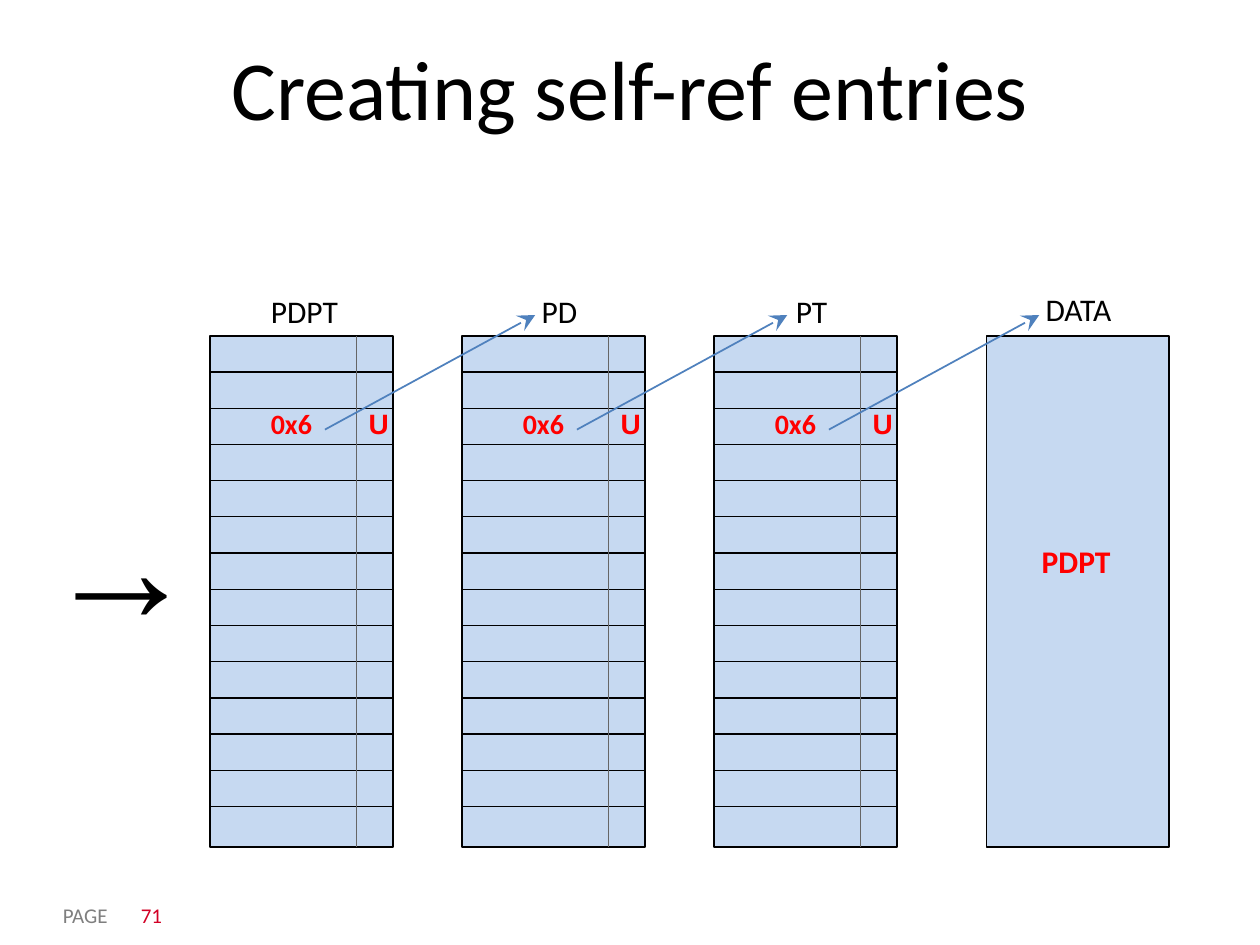
import pptx
import pptx.util
import pptx.dml.color
import pptx.enum.shapes
import pptx.enum.text
import pptx.oxml.ns
import lxml.etree
from pptx.util import Cm, Pt

COLORS = {
    "text": "000000",
    "mark": "FF0000",
    "fill": "C6D9F1",
    "border": "000000",
    "divider": "666666",
    "arrow": "4F81BD",
    "footer": "7F7F7F",
    "number": "D20025",
}

TABLES = [("PDPT", "l"), ("PD", "ctr"), ("PT", "ctr")]
ENTRY = "0x6"
FLAG = "U"

LEFT, PITCH, DATA_LEFT = 4.24, 5.08, 19.89
TOP, WIDTH, HEIGHT = 6.77, 3.68, 10.31
ROWS, ROW_HEIGHT = 13, 0.73
DIVIDER = 2.95
LABEL_W, LABEL_H = 1.98, 1.02

ALIGN = {
    "l": pptx.enum.text.PP_ALIGN.LEFT,
    "ctr": pptx.enum.text.PP_ALIGN.CENTER,
}
ANCHOR = pptx.enum.text.MSO_ANCHOR


def rgb(name):
    return pptx.dml.color.RGBColor.from_string(COLORS[name])


def add_text(s, text, x, y, w, h, size, color="text", align="l", bold=False,
             font="Calibri", anchor=ANCHOR.TOP, wrap=True):
    sp = s.shapes.add_textbox(Cm(x), Cm(y), Cm(w), Cm(h))
    tf = sp.text_frame
    tf.word_wrap = wrap
    tf.vertical_anchor = anchor
    tf.text = text
    p = tf.paragraphs[0]
    p.alignment = ALIGN[align]
    r = p.runs[0]
    r.font.name = font
    r.font.size = Pt(size)
    r.font.bold = bold
    r.font.color.rgb = rgb(color)


def add_box(s, x, y, h, line, filled=False):
    sp = s.shapes.add_shape(pptx.enum.shapes.MSO_SHAPE.RECTANGLE,
                            Cm(x), Cm(y), Cm(WIDTH), Cm(h))
    sp.shadow.inherit = False
    if filled:
        sp.fill.solid()
        sp.fill.fore_color.rgb = rgb("fill")
    else:
        sp.fill.background()
    sp.line.color.rgb = rgb("border")
    sp.line.width = Pt(line)


def add_line(s, x1, y1, x2, y2, color, width, head=False):
    qn = pptx.oxml.ns.qn
    c = s.shapes.add_connector(pptx.enum.shapes.MSO_CONNECTOR.STRAIGHT,
                               Cm(x1), Cm(y1), Cm(x2), Cm(y2))
    c.line.color.rgb = rgb(color)
    c.line.width = Pt(width)
    if head:
        ln = c.line._get_or_add_ln()
        lxml.etree.SubElement(ln, qn("a:tailEnd"), type="stealth", w="lg", len="lg")
    lxml.etree.SubElement(c._element.spPr, qn("a:effectLst"))


def add_page_table(s, x, name, align):
    add_box(s, x, TOP, HEIGHT, 1, filled=True)
    for row in range(ROWS):
        add_box(s, x, TOP + row * ROW_HEIGHT, ROW_HEIGHT, 0.75)
    add_line(s, x + DIVIDER, TOP, x + DIVIDER, TOP + HEIGHT, "divider", 0.75)
    add_text(s, name, x + 0.97, 5.77, LABEL_W, LABEL_H, 18, align=align)
    add_text(s, ENTRY, x + 0.97, 8.08, LABEL_W, 0.94, 16, "mark", bold=True)
    add_text(s, FLAG, x + 2.94, 8.08, 0.92, 0.94, 16, "mark", bold=True,
             font="Arial", wrap=False)


def main():
    prs = pptx.Presentation()
    prs.slide_width, prs.slide_height = Cm(25.4), Cm(19.05)
    s = prs.slides.add_slide(prs.slide_layouts[6])

    add_text(s, "PAGE", 1.02, 18.24, 2.29, 0.43, 12, "footer", anchor=ANCHOR.MIDDLE)
    add_text(s, "71", 2.59, 18.08, 5.92, 0.74, 12, "number", anchor=ANCHOR.BOTTOM)
    add_text(s, "Creating self-ref entries", 1.27, 1.14, 22.86, 1.75, 48,
             align="ctr", anchor=ANCHOR.BOTTOM)

    columns = [LEFT + i * PITCH for i in range(len(TABLES))]
    for x, (name, align) in zip(columns, TABLES):
        add_page_table(s, x, name, align)
    add_text(s, "→", 0.64, 9.32, 3.58, 4.01, 88, font="Arial", wrap=False)

    add_box(s, DATA_LEFT, TOP, HEIGHT, 1, filled=True)
    add_text(s, "PDPT", DATA_LEFT + 0.86, 10.8, LABEL_W, LABEL_H, 18, "mark", bold=True)
    add_text(s, "DATA", DATA_LEFT + 0.86, 5.72, LABEL_W, LABEL_H, 18, align="ctr")

    for x in columns:
        add_line(s, x + 2.31, 8.66, x + 6.55, 6.35, "arrow", 1, head=True)

    prs.save("out.pptx")


if __name__ == "__main__":
    main()
